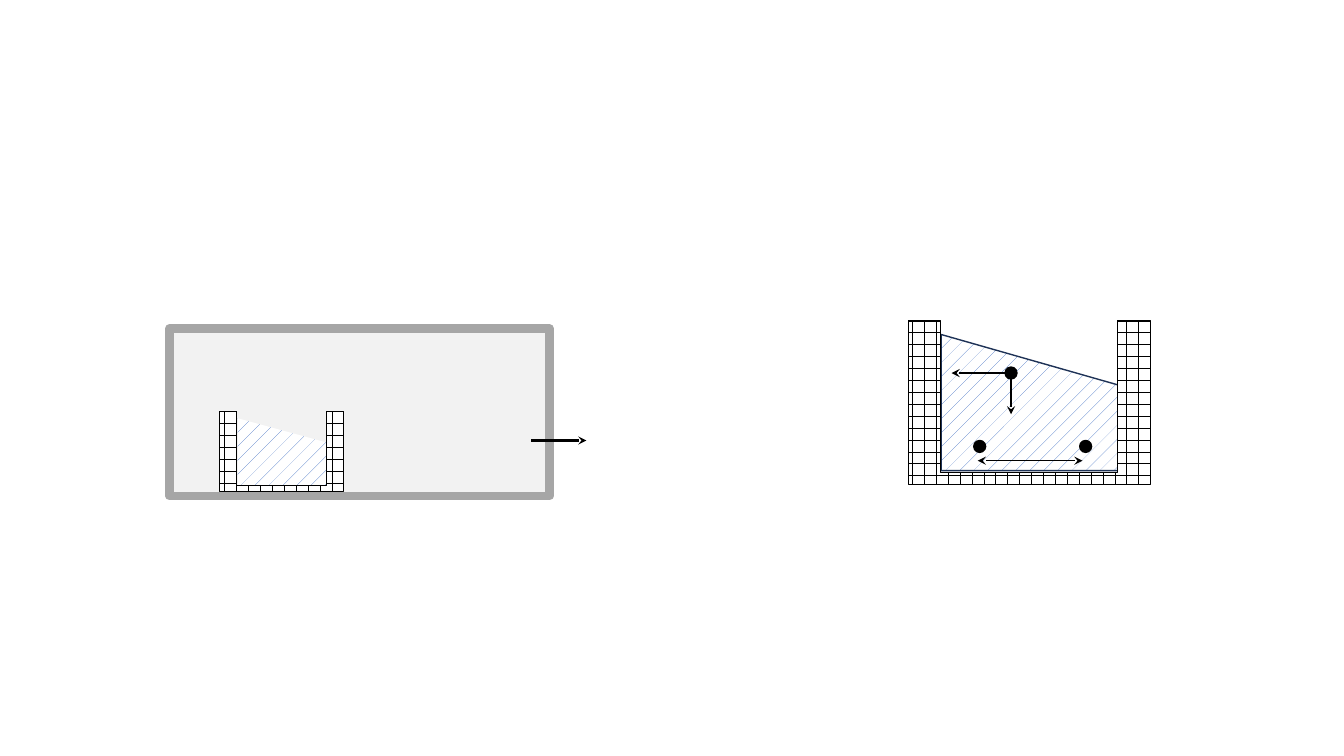
"""Draw a box with a liquid-filled cup and an enlarged view of that cup."""
from lxml import etree
from pptx import Presentation
from pptx.dml.color import RGBColor
from pptx.enum.dml import MSO_PATTERN
from pptx.enum.shapes import MSO_CONNECTOR, MSO_SHAPE
from pptx.oxml.ns import qn
from pptx.util import Cm, Pt

RECT, OVAL = MSO_SHAPE.RECTANGLE, MSO_SHAPE.OVAL
BRICK, SPECK = MSO_PATTERN.HORIZONTAL_BRICK, MSO_PATTERN.PERCENT_5
LINE = MSO_CONNECTOR.STRAIGHT

COLORS = {"black": "000000", "white": "FFFFFF", "blue": "4472C4",
          "navy": "1E3256", "pale": "F2F2F2", "gray": "A6A6A6"}

BOX = (4.27, 8.28, 9.58, 4.22)
# left, right, high level, low level, floor, edge colour
LIQUIDS = [(23.72, 28.17, 8.43, 9.7, 11.86, "navy"),
           (5.99, 8.23, 10.54, 11.15, 12.22, None)]
# left, top, width, height, wall, floor
CUPS = [(5.54, 10.36, 3.12, 2.03, 0.43, 0.15),
        (22.89, 8.08, 6.1, 4.14, 0.82, 0.3)]
DOT = 0.3
DOTS = [(25.48, 9.4), (27.36, 11.25), (24.69, 11.25)]
# start, end, width in points, arrowheads
ARROWS = [((13.39, 11.1), (14.78, 11.1), 1.5, ["tailEnd"]),
          ((25.37, 9.4), (23.98, 9.4), 1.5, ["tailEnd"]),
          ((25.48, 9.53), (25.48, 10.44), 1.5, ["tailEnd"]),
          ((27.28, 11.61), (24.64, 11.61), 0.5, ["headEnd", "tailEnd"])]


def shade(name):
    return RGBColor.from_string(COLORS[name])


def edge(shape, color, width=1):
    if color:
        shape.line.color.rgb = shade(color)
        shape.line.width = Pt(width)
    else:
        shape.line.fill.background()


def block(shapes, kind, area, fill, color, width):
    shape = shapes.add_shape(kind, *map(Cm, area))
    shape.shadow.inherit = False
    shape.fill.solid()
    shape.fill.fore_color.rgb = shade(fill)
    edge(shape, color, width)


def outline(shapes, points, pattern, ink, color, width=1):
    spots = [(Cm(x), Cm(y)) for x, y in points]
    path = shapes.build_freeform(*spots[0])
    path.add_line_segments(spots[1:], close=True)
    shape = path.convert_to_shape()
    shape.shadow.inherit = False
    shape.fill.patterned()
    shape.fill.pattern = pattern
    shape.fill.fore_color.rgb = shade(ink)
    shape.fill.back_color.rgb = shade("white")
    edge(shape, color, width)


def liquid(shapes, left, right, high, low, floor, color):
    points = [(left, high), (right, low), (right, floor), (left, floor)]
    outline(shapes, points, SPECK, "blue", color)


def cup(shapes, left, top, width, height, wall, floor):
    right, base = left + width, top + height
    points = [(left, top), (left, base), (right, base), (right, top),
              (right - wall, top), (right - wall, base - floor),
              (left + wall, base - floor), (left + wall, top)]
    outline(shapes, points, BRICK, "black", "black", 0.75)


def arrow(shapes, start, end, width, heads):
    link = shapes.add_connector(LINE, *map(Cm, start + end))
    edge(link, "black", width)
    for head in heads:
        etree.SubElement(link.line._get_or_add_ln(), qn("a:" + head), type="stealth")
    etree.SubElement(link._element.spPr, qn("a:effectLst"))


def main():
    deck = Presentation()
    deck.slide_width, deck.slide_height = Cm(33.87), Cm(19.05)
    shapes = deck.slides.add_slide(deck.slide_layouts[6]).shapes
    block(shapes, RECT, BOX, "pale", "gray", 6)
    for item in LIQUIDS:
        liquid(shapes, *item)
    for item in CUPS:
        cup(shapes, *item)
    for x, y in DOTS:
        area = (x - DOT / 2, y - DOT / 2, DOT, DOT)
        block(shapes, OVAL, area, "black", "black", 1)
    for item in ARROWS:
        arrow(shapes, *item)
    deck.save("out.pptx")


if __name__ == "__main__":
    main()
